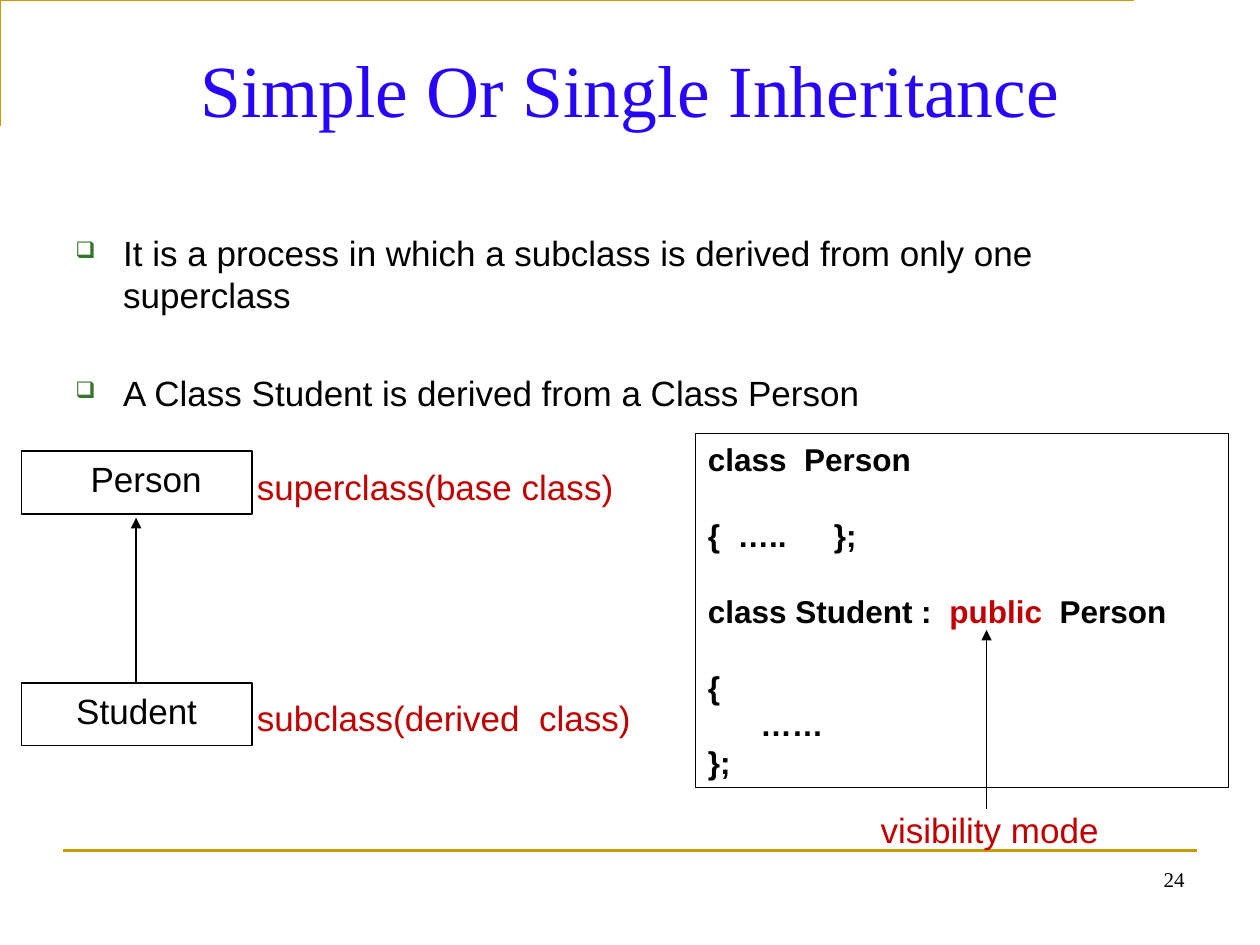
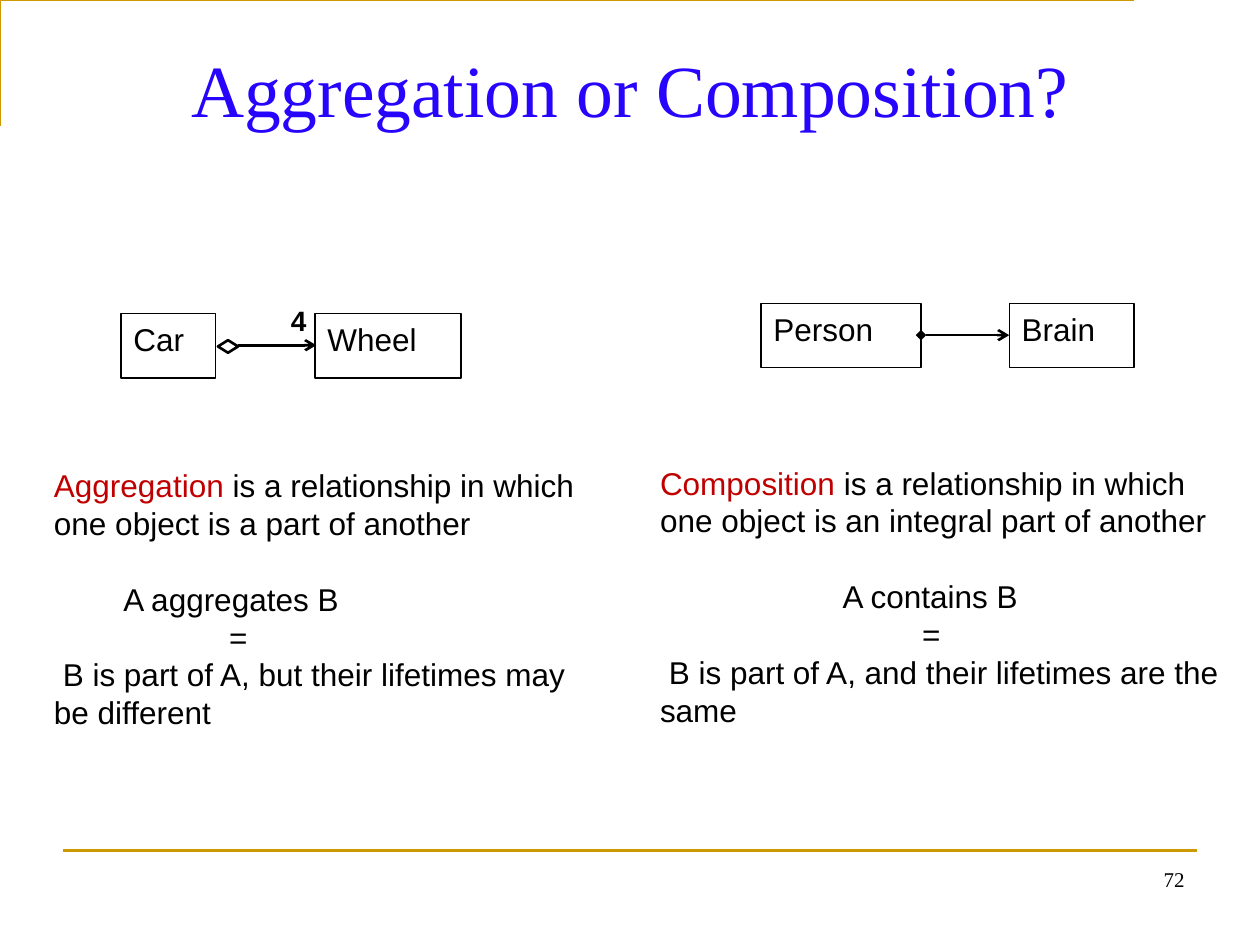
"""Build two slides on inheritance, aggregation and composition."""
from lxml import etree
from pptx import Presentation
from pptx.dml.color import RGBColor
from pptx.enum.shapes import MSO_CONNECTOR, MSO_SHAPE
from pptx.enum.text import MSO_ANCHOR, MSO_AUTO_SIZE, PP_ALIGN
from pptx.oxml.ns import qn
from pptx.util import Inches, Pt

LEFT, CENTER, RIGHT = PP_ALIGN.LEFT, PP_ALIGN.CENTER, PP_ALIGN.RIGHT
TOP, MIDDLE = MSO_ANCHOR.TOP, MSO_ANCHOR.MIDDLE
RECT, DIAMOND = MSO_SHAPE.RECTANGLE, MSO_SHAPE.DIAMOND
STRAIGHT, NO_FIT = MSO_CONNECTOR.STRAIGHT, MSO_AUTO_SIZE.NONE
COLORS = {"gold": "CC9900", "title": "2704FC", "black": "000000",
          "red": "C00000", "green": "35742A", "white": "FFFFFF"}
SANS, SERIF = "Arial", "Times New Roman"


def rgb(name):
    return RGBColor.from_string(COLORS[name])


def sub(parent, tag, **attrs):
    return etree.SubElement(parent, qn(tag), attrs)


def write(tf, runs, size=18, font=SANS, color="black", bold=False, align=LEFT,
          before=0, margin=0, indent=0, bullet=None):
    p = tf.paragraphs[0]
    if p.runs:
        p = tf.add_paragraph()
    p.alignment = align
    p.space_before = Pt(before)
    pPr = p._p.get_or_add_pPr()
    pPr.set("marL", str(Inches(margin)))
    pPr.set("indent", str(Inches(indent)))
    if bullet:
        sub(sub(pPr, "a:buClr"), "a:srgbClr", val=COLORS["green"])
        sub(pPr, "a:buSzPct", val="65000")
        sub(pPr, "a:buChar", char=bullet)
    for text, run_color in [(runs, color)] if isinstance(runs, str) else runs:
        r = p.add_run()
        r.text = text
        r.font.name, r.font.size, r.font.bold = font, Pt(size), bold
        r.font.color.rgb = rgb(run_color)


class Deck:
    def __init__(self):
        self.prs = Presentation()
        self.prs.slide_width, self.prs.slide_height = Inches(10), Inches(7.5)

    def slide(self, title, number):
        self.s = self.prs.slides.add_slide(self.prs.slide_layouts[5])
        fb = self.s.shapes.build_freeform(0.42, 0.92, scale=Inches(1))
        fb.add_line_segments([(0.42, 0.25), (9.42, 0.25)], close=False)
        corner = fb.convert_to_shape()
        corner.fill.background()
        self.outline(corner, "gold", 1.5)
        self.line(0.5, 6.75, 9.5, 6.75, color="gold", width=1.5)
        sp = self.s.shapes.title
        sp.left, sp.top, sp.width, sp.height = map(Inches, (0.5, 0.3, 9, 1.25))
        write(self.frame(sp), title, size=42, font=SERIF, color="title", align=CENTER)
        write(self.text(7.17, 6.83, 2.33, 0.52), number, size=12, font=SERIF, align=RIGHT)

    def outline(self, sp, color, width):
        sp.shadow.inherit = False
        sp.line.color.rgb, sp.line.width = rgb(color), Pt(width)

    def frame(self, sp, anchor=TOP, wrap=True):
        tf = sp.text_frame
        tf.auto_size, tf.word_wrap, tf.vertical_anchor = NO_FIT, wrap, anchor
        return tf

    def text(self, x, y, w, h, anchor=TOP, wrap=True):
        sp = self.s.shapes.add_textbox(*map(Inches, (x, y, w, h)))
        return self.frame(sp, anchor, wrap)

    def label(self, x, y, w, text):
        write(self.text(x, y, w, 0.43, MIDDLE, wrap=False), text, size=20, color="red")

    def box(self, x, y, w, h, kind=RECT, fill=None, width=0.75, anchor=TOP):
        sp = self.s.shapes.add_shape(kind, *map(Inches, (x, y, w, h)))
        self.outline(sp, "black", width)
        if fill:
            sp.fill.solid()
            sp.fill.fore_color.rgb = rgb(fill)
        else:
            sp.fill.background()
        return self.frame(sp, anchor)

    def line(self, x1, y1, x2, y2, color="black", width=0.75, head=None, tail=None):
        cn = self.s.shapes.add_connector(STRAIGHT, *map(Inches, (x1, y1, x2, y2)))
        cn.line.color.rgb, cn.line.width = rgb(color), Pt(width)
        ln = cn.line._get_or_add_ln()
        for tag, kind in (("a:headEnd", head), ("a:tailEnd", tail)):
            if kind:
                sub(ln, tag, type=kind)
        sub(cn._element.spPr, "a:effectLst")

    def definition(self, x, y, w, term, meaning, formula, formula_at, equals_at, result):
        tf = self.text(x, y, w, 2.22, MIDDLE)
        write(tf, [(term, "red"), (meaning, "black")])
        write(tf, formula, before=21.7, margin=formula_at)
        write(tf, "=", margin=equals_at)
        write(tf, result, indent=0.07)


def inheritance(d):
    d.slide("Simple Or Single Inheritance", "24")
    tf = d.text(0.5, 1.79, 9, 4.9)
    points = ("It is a process in which a subclass is derived from only one superclass",
              "A Class Student is derived from a Class Person")
    for i, point in enumerate(points):
        write(tf, point, size=20, before=32 * i, margin=0.38, indent=-0.38, bullet="❑")
    for y, name, margin in ((3.58, "Person", 0.15), (5.42, "Student", 0)):
        write(d.box(0.17, y, 1.83, 0.5, fill="white"), name, size=20,
              align=CENTER, margin=margin)
    d.line(1.08, 5.42, 1.08, 4.11, tail="triangle")
    d.label(1.94, 5.48, 3.24, "subclass(derived  class)")
    d.label(1.94, 3.65, 3.18, "superclass(base class)")
    tf = d.box(5.52, 3.44, 4.23, 2.81, anchor=MIDDLE)
    header = [("class Student :  ", "black"), ("public  ", "red"), ("Person", "black")]
    code = (("class  Person", 0), ("{  …..\t};", 21.7), (header, 21.7),
            ("{", 21.7), ("      ……", 0), ("};", 0))
    for runs, before in code:
        write(tf, runs, bold=True, before=before)
    d.label(6.89, 6.37, 2.01, "visibility mode")
    d.line(7.83, 5, 7.83, 6.42, head="triangle")


def aggregation(d):
    d.slide("Aggregation or Composition?", "72")
    d.definition(0.33, 3.64, 4.49, "Aggregation",
                 " is a relationship in which one object is a part of another",
                 "A aggregates B", 0.55, 1.39,
                 "B is part of A, but their lifetimes may be different")
    d.definition(5.14, 3.62, 4.73, "Composition",
                 " is a relationship in which one object is an integral part of another",
                 "A contains B", 1.45, 2.08,
                 "B is part of A, and their lifetimes are the same")
    d.line(1.89, 2.74, 2.51, 2.74, width=1.5, tail="arrow")
    d.box(1.73, 2.7, 0.16, 0.1, kind=DIAMOND, width=1.5)
    d.line(7.31, 2.66, 8.01, 2.66, width=1.5, head="diamond", tail="arrow")
    for x, y, w, name in ((0.96, 2.49, 0.75, "Car"), (2.5, 2.49, 1.16, "Wheel"),
                          (6.04, 2.41, 1.27, "Person"), (8.01, 2.41, 0.99, "Brain")):
        write(d.box(x, y, w, 0.51), name)
    write(d.text(2.21, 2.36, 0.32, 0.37, wrap=False), "4", size=16, bold=True)


def main():
    d = Deck()
    inheritance(d)
    aggregation(d)
    d.prs.save("out.pptx")


if __name__ == "__main__":
    main()
